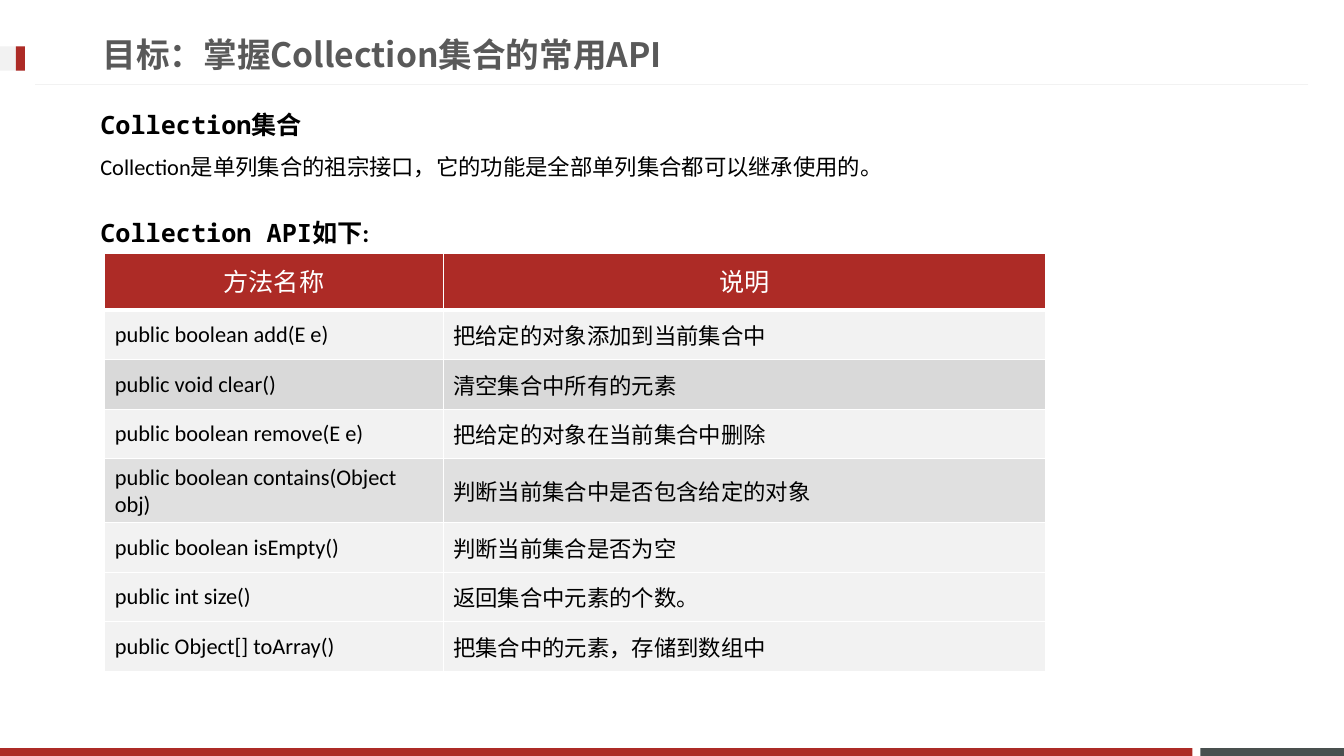
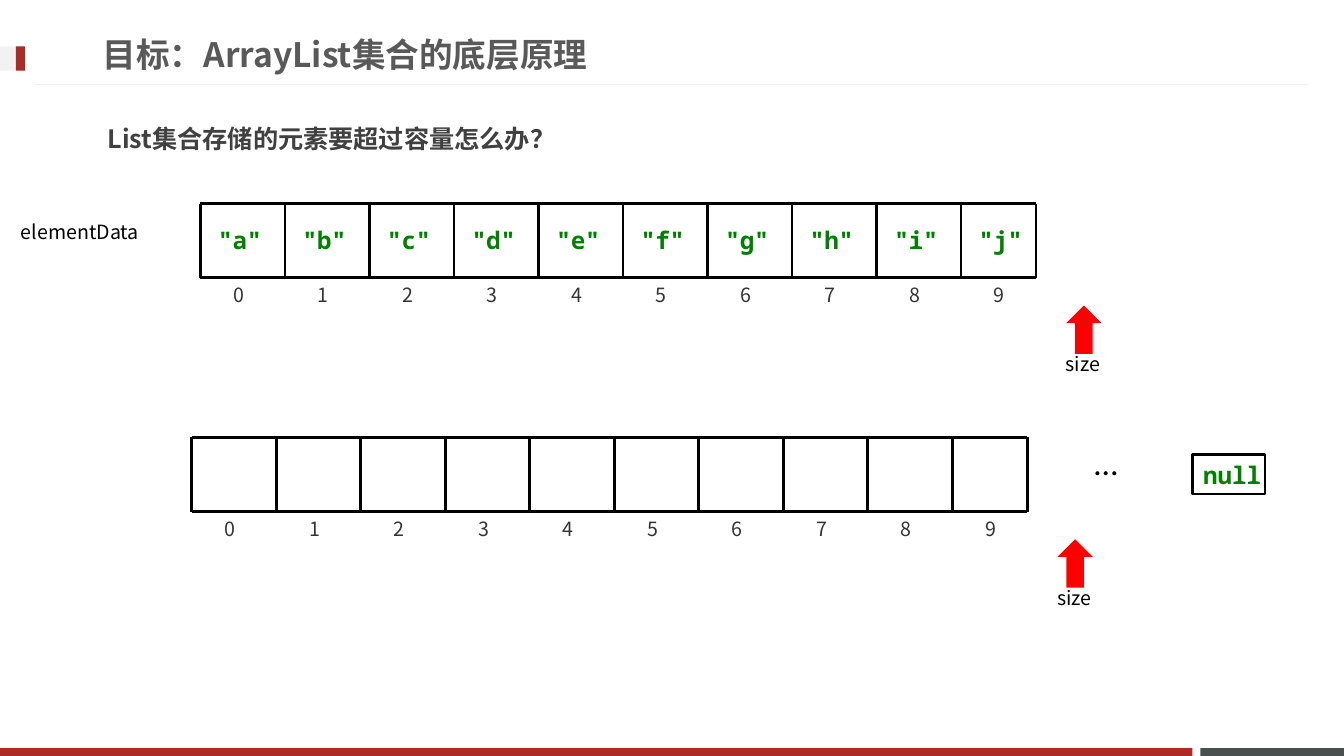
from lxml import etree
from pptx import Presentation
from pptx.dml.color import RGBColor
from pptx.enum.shapes import MSO_CONNECTOR, MSO_SHAPE
from pptx.enum.text import MSO_ANCHOR, MSO_AUTO_SIZE, PP_ALIGN
from pptx.oxml.ns import qn
from pptx.util import Cm, Pt

RED = RGBColor(0xAD, 0x2B, 0x26)
SLATE = RGBColor(0x49, 0x50, 0x4F)
PALE = RGBColor(0xF2, 0xF2, 0xF2)
SILVER = RGBColor(0xD9, 0xD9, 0xD9)
WHITE = RGBColor(0xFF, 0xFF, 0xFF)
BLACK = RGBColor(0x00, 0x00, 0x00)
TITLE_GRAY = RGBColor(0x59, 0x59, 0x59)
HEADING_GRAY = RGBColor(0x40, 0x40, 0x40)
INDEX_GRAY = RGBColor(0x33, 0x33, 0x33)
GREEN = RGBColor(0x00, 0x80, 0x00)
ARROW_RED = RGBColor(0xFF, 0x00, 0x00)

SANS = "Noto Sans CJK SC"
TITLE_FONT = "Noto Sans CJK JP"
MONO = "Noto Sans Mono"
BODY = "Calibri"
LATO = "Lato"

CELL = 2.13
CELL_COUNT = 10
ARRAY_WIDTH = 21.06
ARRAY_HEIGHT = 1.87

API_ROWS = [
    ("public boolean add(E e)", "把给定的对象添加到当前集合中"),
    ("public void clear()", "清空集合中所有的元素"),
    ("public boolean remove(E e)", "把给定的对象在当前集合中删除"),
    ("public boolean contains(Object obj)", "判断当前集合中是否包含给定的对象"),
    ("public boolean isEmpty()", "判断当前集合是否为空"),
    ("public int size()", "返回集合中元素的个数。"),
    ("public Object[] toArray()", "把集合中的元素，存储到数组中"),
]


def run(text, size, font, color=BLACK, bold=False):
    return text, size, font, color, bold


class Deck:
    def __init__(self):
        self.prs = Presentation()
        self.prs.slide_width = Cm(33.87)
        self.prs.slide_height = Cm(19.05)
        self.s = None

    def slide(self, title):
        self.s = self.prs.slides.add_slide(self.prs.slide_layouts[6])
        self.shape(30.25, 18.85, 3.62, 0.2, SLATE)
        self.shape(0, 18.85, 30.05, 0.2, RED)
        self.line(32.97, 2.13, 0.89, 2.13, PALE, 0.75)
        self.shape(0, 1.17, 0.63, 0.61, PALE)
        self.shape(0.4, 1.17, 0.23, 0.61, RED)
        self.text(2.34, -0.08, 19.94, 3,
                  [[run(title, 24, TITLE_FONT, TITLE_GRAY, True)]],
                  spacing=0.9, anchor=MSO_ANCHOR.MIDDLE, grow=False)

    def shape(self, x, y, w, h, fill=None, line=None, kind=MSO_SHAPE.RECTANGLE):
        sp = self.s.shapes.add_shape(kind, Cm(x), Cm(y), Cm(w), Cm(h))
        sp.shadow.inherit = False
        if fill is None:
            sp.fill.background()
        else:
            sp.fill.solid()
            sp.fill.fore_color.rgb = fill
        if line is None:
            sp.line.fill.background()
        else:
            sp.line.color.rgb = line
            sp.line.width = Pt(2)
        return sp

    def line(self, x1, y1, x2, y2, color=BLACK, width=2):
        ln = self.s.shapes.add_connector(
            MSO_CONNECTOR.STRAIGHT, Cm(x1), Cm(y1), Cm(x2), Cm(y2))
        ln.line.color.rgb = color
        ln.line.width = Pt(width)
        etree.SubElement(ln._element.spPr, qn("a:effectLst"))

    def paragraph(self, p, runs, spacing=None, align=PP_ALIGN.LEFT):
        p.alignment = align
        if spacing:
            p.line_spacing = spacing
        for text, size, font, color, bold in runs:
            r = p.add_run()
            r.text = text
            r.font.size = Pt(size)
            r.font.name = font
            r.font.color.rgb = color
            r.font.bold = bold
            ea = TITLE_FONT if font == TITLE_FONT else SANS
            etree.SubElement(r._r.get_or_add_rPr(), qn("a:ea"), typeface=ea)

    def fill_frame(self, tf, paragraphs, spacing, anchor, wrap, grow):
        tf.word_wrap = wrap
        tf.vertical_anchor = anchor
        tf.auto_size = (MSO_AUTO_SIZE.SHAPE_TO_FIT_TEXT if grow
                        else MSO_AUTO_SIZE.NONE)
        for i, runs in enumerate(paragraphs):
            p = tf.add_paragraph() if i else tf.paragraphs[0]
            self.paragraph(p, runs, spacing)

    def text(self, x, y, w, h, paragraphs, spacing=None,
             anchor=MSO_ANCHOR.TOP, wrap=True, grow=True):
        sp = self.s.shapes.add_textbox(Cm(x), Cm(y), Cm(w), Cm(h))
        self.fill_frame(sp.text_frame, paragraphs, spacing, anchor, wrap, grow)

    def label(self, x, y, w, text, color):
        self.text(x, y, w, 0.86, [[run(text, 14, SANS, color)]], wrap=False)

    def value(self, x, y, text):
        sp = self.shape(x, y, 2.06, 0.99, WHITE)
        self.fill_frame(sp.text_frame, [[run(text, 17.3, MONO, GREEN, True)]],
                        None, MSO_ANCHOR.MIDDLE, True, True)

    def array(self, x, y, values=()):
        for i, text in enumerate(values):
            self.value(x + 0.2 + i * CELL, y + 0.41, text)
        right, bottom = x + ARRAY_WIDTH, y + ARRAY_HEIGHT
        for edge in (y, bottom):
            self.line(x, edge, right, edge)
        for edge in [x + i * CELL for i in range(CELL_COUNT)] + [right]:
            self.line(edge, y, edge, bottom)
        for i in range(CELL_COUNT):
            self.label(x + 0.58 + i * CELL, bottom, 0.81, str(i), INDEX_GRAY)
        self.shape(x + 21.82, y + 2.57, 0.89, 1.22, ARROW_RED,
                   kind=MSO_SHAPE.UP_ARROW)
        self.label(x + 21.56, y + 3.61, 1.4, "size", BLACK)

    def cell(self, cell, text, fill, header=False, top=1, bottom=1, alpha=None):
        tcPr = cell._tc.get_or_add_tcPr()
        for side, width in (("L", 1), ("R", 1), ("T", top), ("B", bottom)):
            ln = etree.SubElement(tcPr, qn("a:ln" + side), w=str(Pt(width)))
            solid = etree.SubElement(ln, qn("a:solidFill"))
            etree.SubElement(solid, qn("a:srgbClr"), val=str(WHITE))
        cell.fill.solid()
        cell.fill.fore_color.rgb = fill
        if alpha:
            color = tcPr.find(qn("a:solidFill")).find(qn("a:srgbClr"))
            etree.SubElement(color, qn("a:alpha"), val=str(alpha * 1000))
        cell.vertical_anchor = MSO_ANCHOR.MIDDLE
        p = cell.text_frame.paragraphs[0]
        if header:
            self.paragraph(p, [run(text, 18, LATO, WHITE)], Pt(24),
                           PP_ALIGN.CENTER)
        else:
            self.paragraph(p, [run(text, 16, BODY)])

    def table(self, x, y, widths, header_height, row_height, header, rows,
              fills):
        height = header_height + row_height * len(rows)
        table = self.s.shapes.add_table(
            len(rows) + 1, len(widths), Cm(x), Cm(y),
            Cm(sum(widths)), Cm(height)).table
        table.horz_banding = False
        for column, width in zip(table.columns, widths):
            column.width = Cm(width)
        for i, row in enumerate(table.rows):
            row.height = Cm(row_height if i else header_height)
        for j, text in enumerate(header):
            self.cell(table.cell(0, j), text, RED, header=True, bottom=3)
        for i, texts in enumerate(rows, 1):
            fill, alpha = fills.get(i, (PALE, None))
            for j, text in enumerate(texts):
                self.cell(table.cell(i, j), text, fill,
                          top=3 if i == 1 else 1, alpha=alpha)


def collection_api(deck):
    deck.slide("目标：掌握Collection集合的常用API")
    deck.text(2.28, 2.26, 30.18, 3.35, [
        [run("Collection", 18, MONO, bold=True),
         run("集合", 18, BODY, bold=True)],
        [run("Collection是单列集合的祖宗接口，它的功能是全部单列集合都可以继承使用的。",
             16, BODY)],
    ], spacing=1.5)
    deck.table(2.64, 6.38, (8.53, 15.19), 1.43, 1.25, ("方法名称", "说明"),
               API_ROWS, {2: (SILVER, None), 4: (SILVER, 80)})
    deck.text(2.28, 4.98, 16.94, 1.3, [
        [run("Collection API", 18, MONO, bold=True),
         run("如下:", 18, BODY, bold=True)],
    ], spacing=1.5)


def array_list(deck):
    deck.slide("目标：ArrayList集合的底层原理")
    deck.text(2.46, 2.59, 26.9, 1.3, [
        [run("List集合存储的元素要超过容量怎么办？", 18, TITLE_FONT,
             HEADING_GRAY, True)],
    ], spacing=1.5)
    deck.text(0.28, 5.13, 3.71, 1.04, [[run("elementData", 14, SANS)]],
              spacing=1.5)
    deck.array(5.05, 5.13, [f'"{letter}"' for letter in "abcdefghij"])
    deck.array(4.83, 11.02)
    deck.text(27.33, 11.02, 1.12, 1.27, [[run("…", 24, BODY)]], wrap=False)
    deck.value(30.07, 11.46, "null")
    deck.shape(30.05, 11.46, 1.83, 0.99, line=BLACK)


def main():
    deck = Deck()
    collection_api(deck)
    array_list(deck)
    deck.prs.save("out.pptx")


if __name__ == "__main__":
    main()
